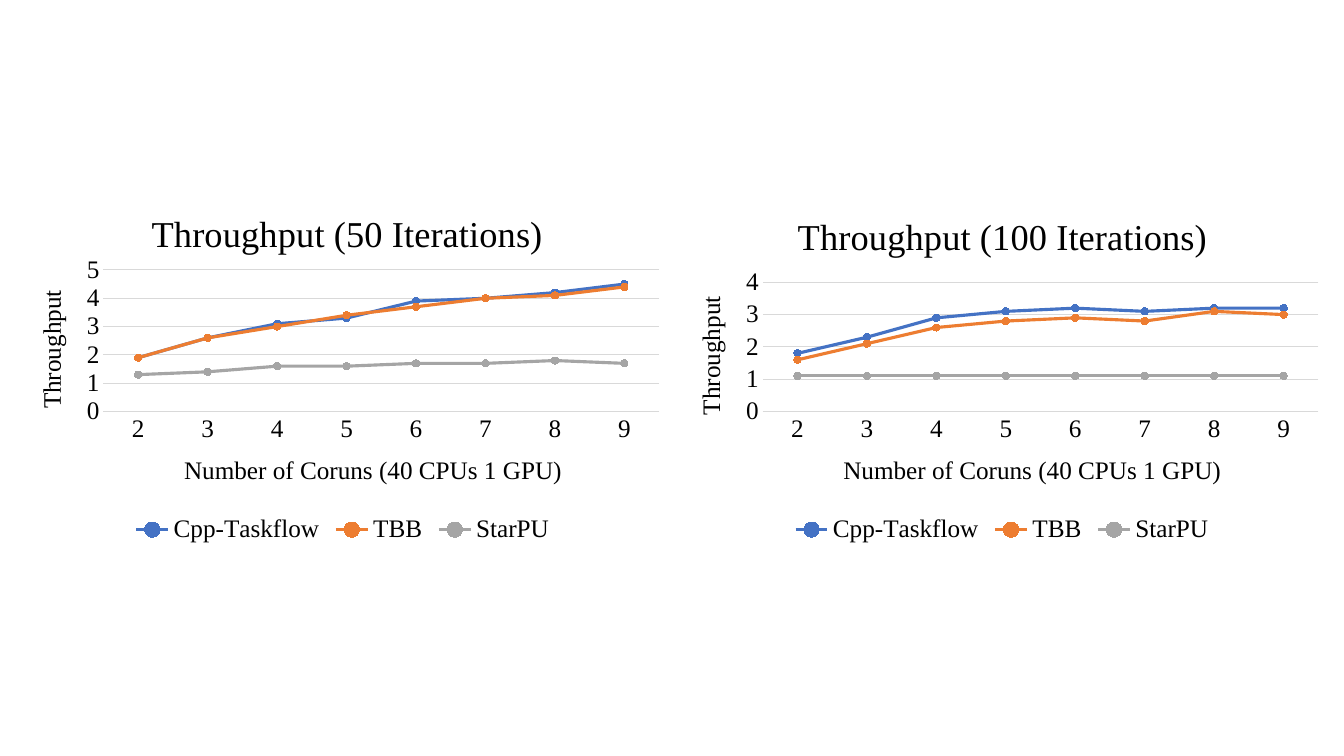
from dataclasses import dataclass

from lxml.etree import SubElement
from pptx import Presentation
from pptx.chart.data import CategoryChartData
from pptx.dml.color import RGBColor
from pptx.enum.chart import XL_CHART_TYPE, XL_LEGEND_POSITION, XL_MARKER_STYLE, XL_TICK_MARK
from pptx.oxml.ns import qn
from pptx.util import Pt


@dataclass(frozen=True)
class Theme:
    face: str = "Times New Roman"
    ink: RGBColor = RGBColor.from_string("000000")
    rule: RGBColor = RGBColor.from_string("D9D9D9")
    series: tuple = tuple(map(RGBColor.from_string, ("4472C4", "ED7D31", "A5A5A5")))
    heading: Pt = Pt(26)
    body: Pt = Pt(18)
    rule_width: Pt = Pt(0.75)
    series_width: Pt = Pt(2.25)


THEME = Theme()


def style_title(titled, text, size):
    frame = titled.text_frame
    frame.text = text
    font = frame.paragraphs[0].font
    font.name, font.size, font.bold = THEME.face, size, False
    font.color.rgb = THEME.ink


def place(element, position, inner=False):
    layout = element.find(qn("c:layout"))
    if layout is None:
        layout = SubElement(element, qn("c:layout"))
        anchor = element.find(qn("c:tx"))
        if anchor is None:
            element.insert(0, layout)
        else:
            anchor.addnext(layout)
    manual = SubElement(layout, qn("c:manualLayout"))
    if inner:
        SubElement(manual, qn("c:layoutTarget")).set("val", "inner")
    for mode in ("xMode", "yMode"):
        SubElement(manual, qn(f"c:{mode}")).set("val", "edge")
    for key, value in zip("xywh", position):
        SubElement(manual, qn(f"c:{key}")).set("val", str(value))


CORUNS = [str(count) for count in range(2, 10)]
LIBRARIES = ("Cpp-Taskflow", "TBB", "StarPU")
CHART_LEFT, CHART_TOP, CHART_WIDTH, CHART_HEIGHT = 9.4, 132.5, 470.9, 259.2
THROUGHPUTS = (
    ("Throughput (50 Iterations)", 5, (0.2, 0.05), (0.137, 0.233, 0.843, 0.39), (
        (1.9, 2.6, 3.1, 3.3, 3.9, 4, 4.2, 4.5),
        (1.9, 2.6, 3, 3.4, 3.7, 4, 4.1, 4.4),
        (1.3, 1.4, 1.6, 1.6, 1.7, 1.7, 1.8, 1.7),
    )),
    ("Throughput (100 Iterations)", 4, (0.18, 0.06), (0.137, 0.267, 0.843, 0.356), (
        (1.8, 2.3, 2.9, 3.1, 3.2, 3.1, 3.2, 3.2),
        (1.6, 2.1, 2.6, 2.8, 2.9, 2.8, 3.1, 3),
        (1.1, 1.1, 1.1, 1.1, 1.1, 1.1, 1.1, 1.1),
    )),
)

deck = Presentation()
deck.slide_width, deck.slide_height = Pt(960), Pt(540)
slide = deck.slides.add_slide(deck.slide_layouts[6])

for column, (heading, maximum, heading_at, plot_at, measurements) in enumerate(THROUGHPUTS):
    data = CategoryChartData()
    data.categories = CORUNS
    for library, values in zip(LIBRARIES, measurements):
        data.add_series(library, values)
    chart = slide.shapes.add_chart(
        XL_CHART_TYPE.LINE_MARKERS,
        Pt(CHART_LEFT + column * CHART_WIDTH), Pt(CHART_TOP),
        Pt(CHART_WIDTH), Pt(CHART_HEIGHT), data,
    ).chart
    chart.font.name, chart.font.size = THEME.face, THEME.body
    chart.font.color.rgb = THEME.ink
    style_title(chart.chart_title, heading, THEME.heading)
    chart.has_legend = True
    chart.legend.position = XL_LEGEND_POSITION.BOTTOM
    chart.legend.include_in_layout = False

    coruns, throughput = chart.category_axis, chart.value_axis
    for axis, caption in ((coruns, "Number of Coruns (40 CPUs 1 GPU)"), (throughput, "Throughput")):
        style_title(axis.axis_title, caption, THEME.body)
        axis.major_tick_mark = axis.minor_tick_mark = XL_TICK_MARK.NONE
    throughput.minimum_scale, throughput.maximum_scale = 0, maximum
    throughput.major_unit = 1
    throughput.tick_labels.number_format = "General"
    throughput.tick_labels.number_format_is_linked = False
    throughput.format.line.fill.background()
    for rule in (coruns.format.line, throughput.major_gridlines.format.line):
        rule.color.rgb, rule.width = THEME.rule, THEME.rule_width

    plot = chart.plots[0]
    plot.vary_by_categories = False
    for library, color in zip(plot.series, THEME.series):
        library.smooth = False
        library.format.line.color.rgb = color
        library.format.line.width = THEME.series_width
        library.marker.style, library.marker.size = XL_MARKER_STYLE.CIRCLE, 5
        library.marker.format.fill.solid()
        library.marker.format.fill.fore_color.rgb = color
        library.marker.format.line.color.rgb = color

    chart_xml = chart.element.find(qn("c:chart"))
    place(chart_xml.find(qn("c:title")), heading_at)
    place(chart_xml.find(qn("c:plotArea")), plot_at, inner=True)

deck.save("out.pptx")
